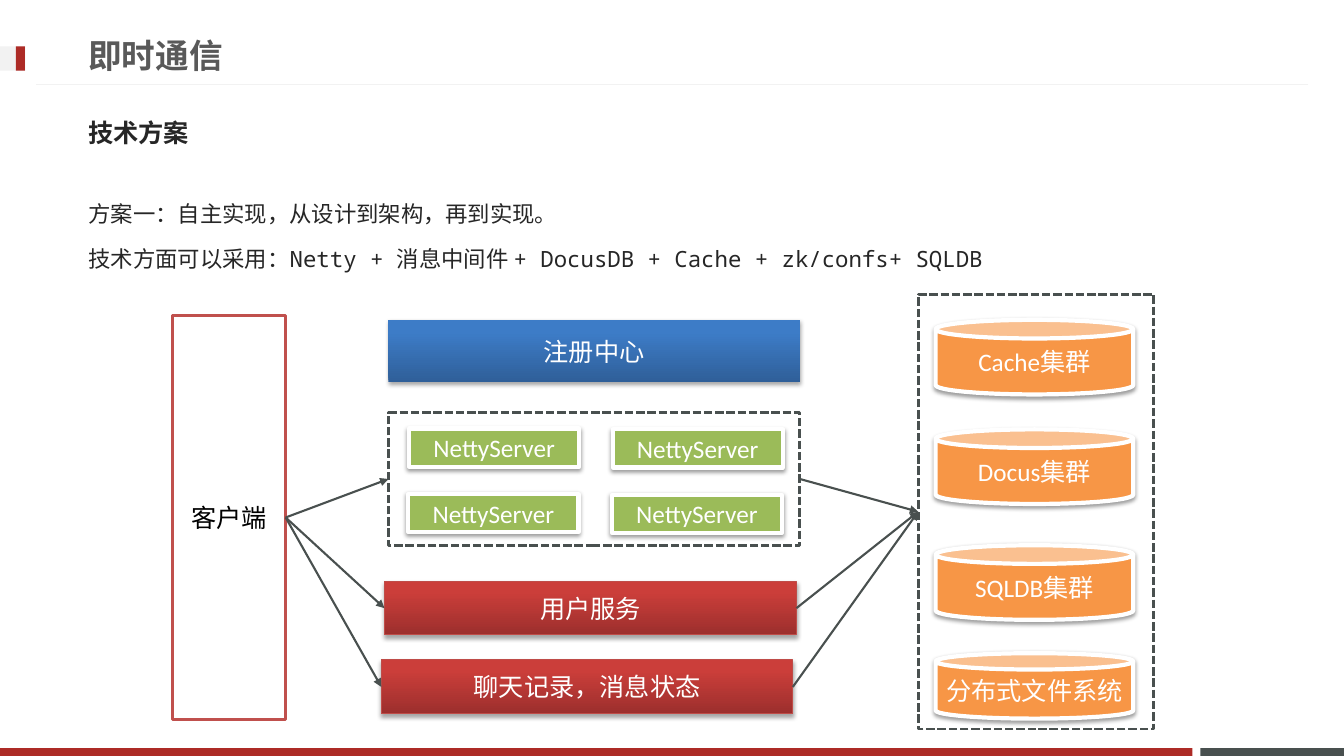
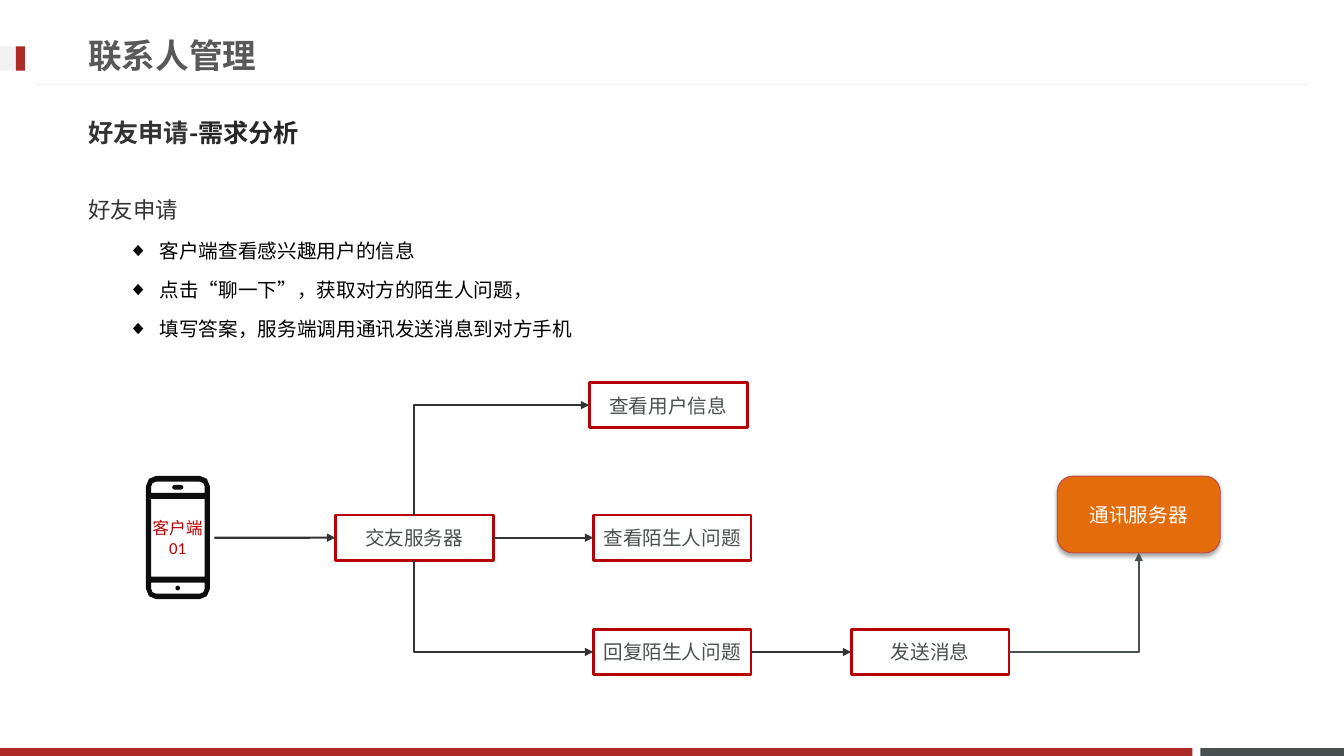
from itertools import product
from math import cos, pi, sin

from pptx import Presentation
from pptx.dml.color import RGBColor
from pptx.enum.dml import MSO_LINE
from pptx.enum.shapes import MSO_CONNECTOR as Link, MSO_SHAPE as Preset
from pptx.enum.text import MSO_ANCHOR as Anchor, MSO_AUTO_SIZE as AutoSize, PP_ALIGN as Align
from pptx.oxml.ns import qn
from pptx.oxml.xmlchemy import OxmlElement
from pptx.util import Cm, Pt

MONO, SANS, CJK = "Noto Sans Mono", "Calibri", "Noto Sans CJK JP"
RED, SLATE, PALE, WHITE = "AD2B26", "49504F", "F2F2F2", "FFFFFF"
INK, CHARCOAL, CRIMSON, BLACK = "262626", "333333", "B60206", "000000"
TOP, LEFT, BOTTOM, RIGHT = range(4)

TITLE = {"size": Pt(24), "name": MONO, "bold": True, "color": "595959"}
SUBTITLE = {"size": Pt(18), "name": MONO, "bold": True, "color": INK}
LEAD = {"size": Pt(16), "name": MONO, "color": INK}
LABEL = {"size": Pt(18), "name": SANS, "color": WHITE}
STEP = {"size": Pt(14), "name": MONO, "color": SLATE}

SOFT_SHADOW = {"alpha": 35, "dist": 1.8}
FIRM_SHADOW = {"alpha": 38, "dist": 1.6}
BLUE_BAR = {"fill": ("2F5F99", "3D7CC7"), "shadow": SOFT_SHADOW}
RED_BAR = {"fill": ("9C2F2D", "CB3E3A"), "line": ("BF4C48", 0.75), "shadow": SOFT_SHADOW}
NODE = {"fill": "9BBB59", "line": (WHITE, 3), "shadow": FIRM_SHADOW}
STORE = {"fill": "F79646", "line": (WHITE, 3), "shadow": FIRM_SHADOW}
GROUP = {"line": (SLATE, 2), "dash": MSO_LINE.SQUARE_DOT}
OUTLINE = {"line": (CRIMSON, 2)}


def rgb(code):
    return RGBColor.from_string(code)


def cm(*values):
    return [Cm(value) for value in values]


def add_xml(parent, tag, **attributes):
    child = OxmlElement(tag)
    for name, value in attributes.items():
        child.set(name, str(value))
    parent.append(child)
    return child


def write(para, text, color, **font):
    span = para.add_run()
    span.text = text
    span.font.color.rgb = rgb(color)
    for name, value in font.items():
        setattr(span.font, name, value)


def paint(shape, fill=None, line=None, dash=None, shadow=None):
    """Fill is a colour, a bottom-to-top pair of colours, or None."""
    shape.shadow.inherit = False
    if fill is None:
        shape.fill.background()
    elif isinstance(fill, tuple):
        shape.fill.gradient()
        shape.fill.gradient_angle = 90
        for stop, code, position in zip(shape.fill.gradient_stops, fill, (0, 0.8)):
            stop.color.rgb = rgb(code)
            stop.position = position
    else:
        shape.fill.solid()
        shape.fill.fore_color.rgb = rgb(fill)
    if line:
        color, width = line
        shape.line.color.rgb = rgb(color)
        shape.line.width = Pt(width)
        if dash:
            shape.line.dash_style = dash
    else:
        shape.line.fill.background()
    if shadow:
        effects = shape.element.spPr.find(qn("a:effectLst"))
        outer = add_xml(effects, "a:outerShdw", blurRad=Pt(3.1), dist=Pt(shadow["dist"]),
                        dir=90 * 60000, rotWithShape=0)
        color = add_xml(outer, "a:srgbClr", val=BLACK)
        add_xml(color, "a:alpha", val=shadow["alpha"] * 1000)


def center_text(shape, lines, font):
    frame = shape.text_frame
    frame.word_wrap = True
    frame.vertical_anchor = Anchor.MIDDLE
    for side in ("left", "right", "top", "bottom"):
        setattr(frame, f"margin_{side}", 0)
    for number, text in enumerate(lines):
        para = frame.add_paragraph() if number else frame.paragraphs[0]
        para.alignment = Align.CENTER
        write(para, text, **font)


def add_box(page, place, text=None, font=LABEL, preset=Preset.RECTANGLE, **look):
    box = page.shapes.add_shape(preset, *cm(*place))
    paint(box, **look)
    if text:
        center_text(box, [text], font)
    return box


def add_line(page, points=(0, 0, 0, 0), kind=Link.STRAIGHT, color=SLATE, width=1.5):
    line = page.shapes.add_connector(kind, *cm(*points))
    line.line.color.rgb = rgb(color)
    line.line.width = Pt(width)
    add_xml(line.element.spPr, "a:effectLst")
    return line


def add_arrowhead(line, end="a:tailEnd"):
    add_xml(line.element.spPr.find(qn("a:ln")), end, type="triangle")


def join(page, start, end, color=SLATE):
    """Arrow from one (box, side) to another."""
    arrow = add_line(page, color=color)
    arrow.begin_connect(*start)
    arrow.end_connect(*end)
    add_arrowhead(arrow)


def join_bent(page, start, end, color=CHARCOAL, head="a:tailEnd"):
    """One-corner arrow that leaves its start horizontally."""
    arrow = add_line(page, kind=Link.ELBOW, color=color)
    arrow.begin_connect(*start)
    arrow.end_connect(*end)
    arrow.element.spPr.find(qn("a:prstGeom")).set("prst", "bentConnector2")
    add_arrowhead(arrow, head)


def place_holder(holder, place, anchor):
    for name, value in zip(("left", "top", "width", "height"), cm(*place)):
        setattr(holder, name, value)
    frame = holder.text_frame
    frame.word_wrap = True
    frame.auto_size = AutoSize.NONE
    frame.vertical_anchor = anchor
    return frame


def set_bullet(para, symbol=None):
    props = para._p.get_or_add_pPr()
    indents = (Cm(1.79), Cm(-0.79)) if symbol else (0, 0)
    for name, value in zip(("marL", "indent"), indents):
        props.set(name, str(value))
    if symbol:
        add_xml(props, "a:buChar", char=symbol)
    else:
        add_xml(props, "a:buNone")


def add_page(deck, layout, title, subtitle_spans):
    page = deck.slides.add_slide(layout)
    heading = place_holder(page.shapes.title, (1.97, 0.67, 24.36, 1.45), Anchor.MIDDLE).paragraphs[0]
    heading.alignment = Align.LEFT
    write(heading, title, **TITLE)
    frame = place_holder(page.placeholders[1], (1.97, 2.62, 29.87, 1.45), Anchor.MIDDLE)
    set_bullet(frame.paragraphs[0])
    for text, changes in subtitle_spans:
        write(frame.paragraphs[0], text, **{**SUBTITLE, **changes})
    return page


def fill_body(page, place, lines):
    """Lines are (text, font, bullet symbol or None)."""
    frame = place_holder(page.placeholders[2], place, Anchor.TOP)
    for number, (text, font, symbol) in enumerate(lines):
        para = frame.add_paragraph() if number else frame.paragraphs[0]
        para.level = 1 if symbol else 0
        para.line_spacing = 1.5
        set_bullet(para, symbol)
        write(para, text, **font)


def move_frame_to_layout(page, layout):
    """Draw the shared bands and rule, then hand them to the layout."""
    bands = [
        ((30.25, 18.85, 3.62, 0.2), SLATE),
        ((0, 18.85, 30.05, 0.2), RED),
        ((0, 1.17, 0.64, 0.61), PALE),
        ((0.4, 1.17, 0.23, 0.61), RED),
    ]
    parts = [add_box(page, place, fill=color) for place, color in bands]
    parts.append(add_line(page, (32.97, 2.13, 0.9, 2.13), color=PALE, width=0.75))
    for part in parts:
        layout.shapes.element.append(part.element)


def rounded_outline(left, top, width, height, top_radius=0, bottom_radius=0):
    """Points of a rectangle with rounded upper and lower corners."""
    right, bottom = left + width, top + height
    corners = [
        (right, bottom, -1, -1, bottom_radius),
        (left, bottom, 1, -1, bottom_radius),
        (left, top, 1, 1, top_radius),
        (right, top, -1, 1, top_radius),
    ]
    points = []
    for quarter, (x, y, toward_x, toward_y, radius) in enumerate(corners):
        if not radius:
            points.append(cm(x, y))
            continue
        for step in range(3):
            angle = (quarter + step / 2) * pi / 2
            points.append(cm(x + radius * (toward_x + cos(angle)),
                             y + radius * (toward_y + sin(angle))))
    return points


def add_phone(page):
    add_box(page, (3.68, 11.99, 1.63, 3.15), fill=WHITE)
    outlines = [
        rounded_outline(3.68, 11.99, 1.61, 3.11, 0.26, 0.26),
        rounded_outline(3.81, 12.14, 1.35, 0.28, 0.12, 0),
        rounded_outline(4.34, 12.22, 0.28, 0.12, 0.06, 0.06),
        rounded_outline(3.81, 12.57, 1.35, 1.96),
        rounded_outline(3.81, 14.68, 1.35, 0.28, 0, 0.12),
        rounded_outline(4.42, 14.76, 0.12, 0.12, 0.06, 0.06),
    ]
    builder = page.shapes.build_freeform(*outlines[0][0])
    for number, points in enumerate(outlines):
        if number:
            builder.move_to(*points[0])
        builder.add_line_segments(points[1:], close=True)
    paint(builder.convert_to_shape(), fill="0D0D0D")
    label = page.shapes.add_textbox(*cm(3.56, 13.1, 1.83, 0.91))
    center_text(label, ["客户端", "01"], {"size": Pt(12), "name": SANS, "color": CRIMSON})


def draw_messaging(page):
    fill_body(page, (1.98, 4.58, 29.87, 2.84), [
        ("方案一：自主实现，从设计到架构，再到实现。", LEAD, None),
        ("技术方面可以采用：Netty + 消息中间件 + DocusDB + Cache + zk/confs+ SQLDB", LEAD, None),
    ])
    client = add_box(page, (4.35, 7.95, 2.85, 10.18), "客户端", {**LABEL, "color": BLACK},
                     fill=WHITE, line=("C0504D", 2))
    add_box(page, (9.79, 8.06, 10.37, 1.57), "注册中心", **BLUE_BAR)
    stores = [("Cache集群", 8.06, 1.88), ("Docus集群", 10.82, 1.88),
              ("SQLDB集群", 13.74, 1.88), ("分布式文件系统", 16.46, 1.65)]
    for text, top, height in stores:
        add_box(page, (23.58, top, 4.98, height), text, preset=Preset.CAN, **STORE)
    users = add_box(page, (9.69, 14.65, 10.38, 1.35), "用户服务", **RED_BAR)
    chats = add_box(page, (9.61, 16.63, 10.37, 1.36), "聊天记录，消息状态", **RED_BAR)
    storage = add_box(page, (23.14, 7.42, 5.94, 10.95), **GROUP)
    servers = add_box(page, (9.79, 10.4, 10.37, 3.34), **GROUP)
    for row, column in product(range(2), repeat=2):
        place = (10.31 + 5.13 * column - 0.02 * row, 10.8 + 1.65 * row + 0.02 * column, 4.29, 0.96)
        add_box(page, place, "NettyServer", **NODE)
    for service in (users, chats, servers):
        join(page, (client, RIGHT), (service, LEFT))
        join(page, (service, RIGHT), (storage, LEFT))


def draw_friend_request(page):
    item = {"size": Pt(14), "name": SANS, "color": BLACK}
    fill_body(page, (1.98, 4.48, 29.72, 4.45), [
        ("好友申请", {**LEAD, "name": SANS, "color": CHARCOAL}, None),
        ("客户端查看感兴趣用户的信息", item, "◆"),
        ("点击“聊一下”，获取对方的陌生人问题，", item, "◆"),
        ("填写答案，服务端调用通讯发送消息到对方手机", item, "◆"),
    ])
    add_phone(page)
    steps = [("交友服务器", 8.45, 12.98), ("查看陌生人问题", 14.95, 12.98),
             ("回复陌生人问题", 14.95, 15.86), ("发送消息", 21.45, 15.86),
             ("查看用户信息", 14.85, 9.64)]
    server, question, reply, message, profile = [
        add_box(page, (left, top, 3.98, 1.14), text, STEP, **OUTLINE) for text, left, top in steps]
    cloud = add_box(page, (26.65, 12, 4.1, 1.93), "通讯服务器", {**LABEL, "size": Pt(14)},
                    Preset.ROUNDED_RECTANGLE, fill="E46C0A", line=("BF4C48", 0.75),
                    shadow=SOFT_SHADOW)
    cloud.adjustments[0] = 0.2
    request = add_line(page, (5.4, 13.55, 8.45, 13.55), color=CHARCOAL)
    request.end_connect(server, LEFT)
    add_arrowhead(request)
    for start, end in ((server, question), (reply, message)):
        join(page, (start, RIGHT), (end, LEFT), CHARCOAL)
    for box, side in ((profile, TOP), (reply, BOTTOM)):
        join_bent(page, (box, LEFT), (server, side), head="a:headEnd")
    join_bent(page, (message, RIGHT), (cloud, BOTTOM), SLATE)


def main():
    deck = Presentation()
    deck.slide_width, deck.slide_height = cm(33.87, 19.05)
    layout = deck.slide_layouts.get_by_name("Two Content")
    messaging = add_page(deck, layout, "即时通信", [("技术方案", {})])
    move_frame_to_layout(messaging, layout)
    draw_messaging(messaging)
    contacts = add_page(deck, layout, "联系人管理", [
        ("好友申请", {"name": CJK, "color": CHARCOAL}), ("-需求分析", {"name": CJK})])
    draw_friend_request(contacts)
    deck.save("out.pptx")


if __name__ == "__main__":
    main()
